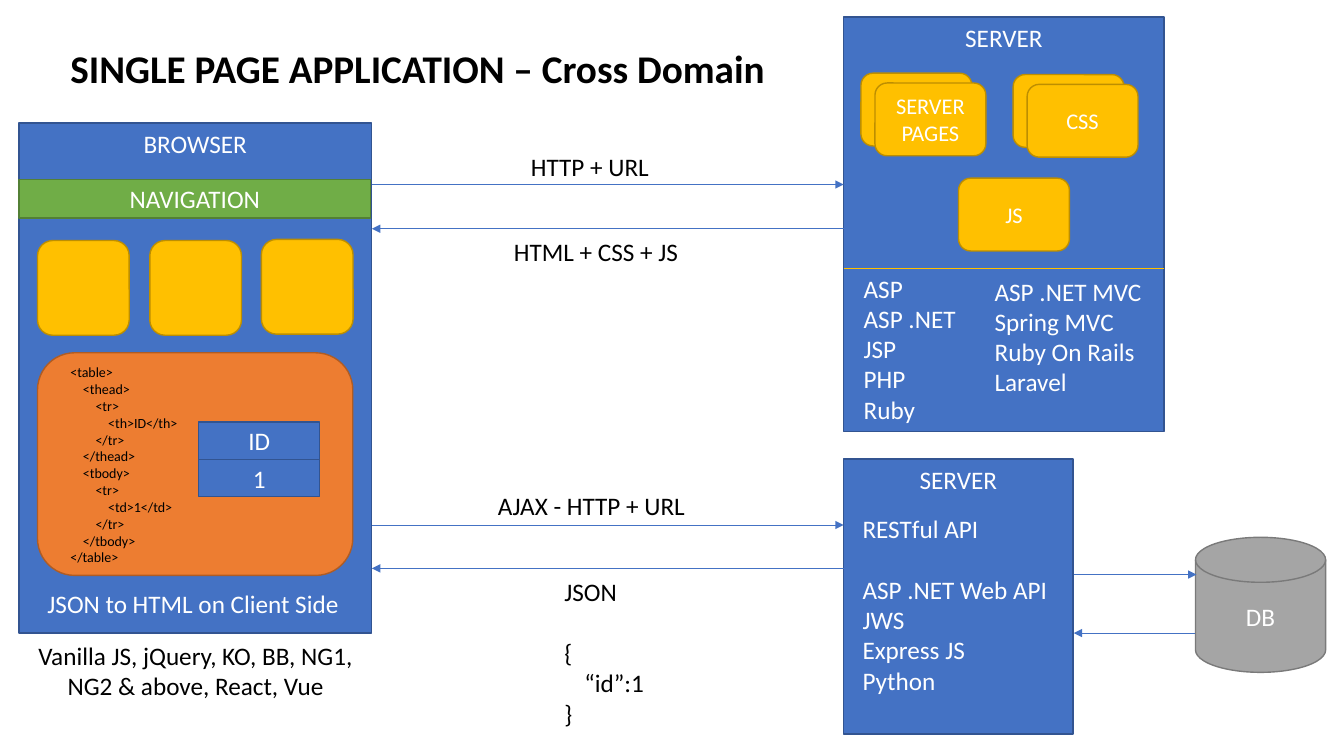
from dataclasses import dataclass

from lxml import etree
from pptx import Presentation
from pptx import util as u
from pptx.dml.color import RGBColor
from pptx.enum import shapes, text
from pptx.oxml import ns

Pt = u.Pt
Kind = shapes.MSO_SHAPE
Align = text.PP_ALIGN
Anchor = text.MSO_ANCHOR


@dataclass(frozen=True)
class Theme:
    font: str = "Calibri"
    title: int = 28
    body: int = 18
    card: int = 16
    code: int = 10
    ink: str = "000000"
    light: str = "FFFFFF"
    blue: tuple = ("4472C4", "325491")
    gold: tuple = ("FFC000", "BD8E00")
    green: tuple = ("70AD47", "538035")
    orange: tuple = ("ED7D31", "AF5C24")
    gray: tuple = ("A5A5A5", "7A7A7A")
    outline: float = 1
    thin: float = 0.5


THEME = Theme()

MARKUP = """<table>
    <thead>
        <tr>
            <th>ID</th>
        </tr>
    </thead>
    <tbody>
        <tr>
            <td>1</td>
        </tr>
    </tbody>
</table>"""


def rgb(code):
    return RGBColor.from_string(code)


def write(frame, words, size=THEME.body, color=THEME.ink, bold=False,
          align=Align.LEFT, anchor=Anchor.TOP, wrap=True, gaps=None, indents=None):
    frame.word_wrap = wrap
    frame.vertical_anchor = anchor
    for index, line in enumerate(words.split("\n")):
        paragraph = frame.add_paragraph() if index else frame.paragraphs[0]
        paragraph.alignment = align
        if index in (gaps or {}):
            paragraph.space_before = Pt(gaps[index])
        if index in (indents or {}):
            paragraph._p.get_or_add_pPr().set("marL", str(Pt(indents[index])))
        run = paragraph.add_run()
        run.text = line
        run.font.name = THEME.font
        run.font.size = Pt(size)
        run.font.bold = bold
        run.font.color.rgb = rgb(color)


def label(slide, box, words, wrap=False, **style):
    frame = slide.shapes.add_textbox(*map(Pt, box)).text_frame
    frame.auto_size = text.MSO_AUTO_SIZE.SHAPE_TO_FIT_TEXT
    write(frame, words, wrap=wrap, **style)


def block(slide, box, colors, words="", kind=Kind.RECTANGLE, anchor=Anchor.MIDDLE,
          size=THEME.body):
    fill, edge = colors
    body = slide.shapes.add_shape(kind, *map(Pt, box))
    body.shadow.inherit = False
    body.fill.solid()
    body.fill.fore_color.rgb = rgb(fill)
    body.line.color.rgb = rgb(edge)
    body.line.width = Pt(THEME.outline)
    if words:
        write(body.text_frame, words, size=size, color=THEME.light,
              align=Align.CENTER, anchor=anchor)


def card(slide, left, top, words="", width=79.2, height=52):
    block(slide, (left, top, width, height), THEME.gold, words,
          kind=Kind.ROUNDED_RECTANGLE, size=THEME.card)


def stacked_card(slide, left, top, words):
    card(slide, left, top)
    card(slide, left + 10, top + 7, words)


def rule(slide, start, end, y, color=THEME.blue[0], arrow=True):
    line = slide.shapes.add_connector(
        shapes.MSO_CONNECTOR.STRAIGHT, Pt(start), Pt(y), Pt(end), Pt(y))
    line.line.color.rgb = rgb(color)
    line.line.width = Pt(THEME.thin)
    if arrow:
        etree.SubElement(line.line._get_or_add_ln(), ns.qn("a:tailEnd"), type="triangle")
    etree.SubElement(line._element.spPr, ns.qn("a:effectLst"))


def page_server(slide):
    block(slide, (602.6, 12.2, 229, 296), THEME.blue, "SERVER", anchor=Anchor.TOP)
    label(slide, (609.8, 191.5, 87, 116.6), "ASP\nASP .NET\nJSP\nPHP\nRuby",
          color=THEME.light)
    label(slide, (703.4, 193.5, 128, 94.3),
          "ASP .NET MVC\nSpring MVC\nRuby On Rails\nLaravel",
          color=THEME.light, wrap=True)
    rule(slide, 602.6, 831.6, 192, color=THEME.gold[0], arrow=False)
    stacked_card(slide, 615, 52.3, "SERVER\nPAGES")
    stacked_card(slide, 723.7, 53.3, "CSS")
    card(slide, 684.7, 127.3, "JS")


def browser(slide):
    block(slide, (13.5, 87.8, 252, 364.4), THEME.blue, "BROWSER", anchor=Anchor.TOP)
    for left, top in ((26.8, 171.8), (107, 171.8), (186.7, 171)):
        card(slide, left, top, width=65.5, height=67.7)
    block(slide, (26.8, 252, 225.2, 159), THEME.orange, kind=Kind.ROUNDED_RECTANGLE)
    block(slide, (13.5, 128.2, 251.3, 27.4), THEME.green, "NAVIGATION")
    label(slide, (26.8, 417, 225.2, 29), "JSON to HTML on Client Side", color=THEME.light)
    label(slide, (43.2, 256.3, 175.7, 152.6), MARKUP, size=THEME.code, wrap=True)
    for row, value in enumerate(("ID", "1")):
        block(slide, (142, 301.5 + row * 26.6, 86.4, 26.6), THEME.blue, value)
    label(slide, (18.7, 453.8, 242, 51),
          "Vanilla JS, jQuery, KO, BB, NG1,\nNG2 & above, React, Vue", align=Align.CENTER)


def api_server(slide):
    block(slide, (602.6, 327.8, 164, 196.4), THEME.blue, "SERVER", anchor=Anchor.TOP)
    label(slide, (609, 363, 157, 138),
          "RESTful API\nASP .NET Web API\nJWS\nExpress JS\nPython",
          color=THEME.light, gaps={1: 22})
    block(slide, (853.9, 383.8, 93, 96.5), THEME.gray, "DB",
          kind=Kind.FLOWCHART_MAGNETIC_DISK)
    rule(slide, 767, 854.6, 410.4)
    rule(slide, 853.9, 767, 452.2)


def traffic(slide):
    browser_edge, server_edge = 265.7, 602.6
    for request, response in ((131.8, 163.4), (375, 406)):
        rule(slide, browser_edge, server_edge, request)
        rule(slide, server_edge, browser_edge, response)
    label(slide, (372.2, 104.4, 100, 29), "HTTP + URL")
    label(slide, (359.3, 165, 133, 29), "HTML + CSS + JS", align=Align.CENTER)
    label(slide, (348.5, 347, 150, 29), "AJAX - HTTP + URL")
    label(slide, (396, 408.2, 72, 116.6), "JSON\n{\n“id”:1\n}",
          gaps={1: 22}, indents={2: 14.4})


def main():
    deck = Presentation()
    deck.slide_width, deck.slide_height = Pt(960), Pt(540)
    slide = deck.slides.add_slide(deck.slide_layouts[6])
    page_server(slide)
    browser(slide)
    api_server(slide)
    traffic(slide)
    label(slide, (43.2, 28, 516.2, 41), "SINGLE PAGE APPLICATION – Cross Domain",
          size=THEME.title, bold=True)
    deck.save("out.pptx")


if __name__ == "__main__":
    main()
